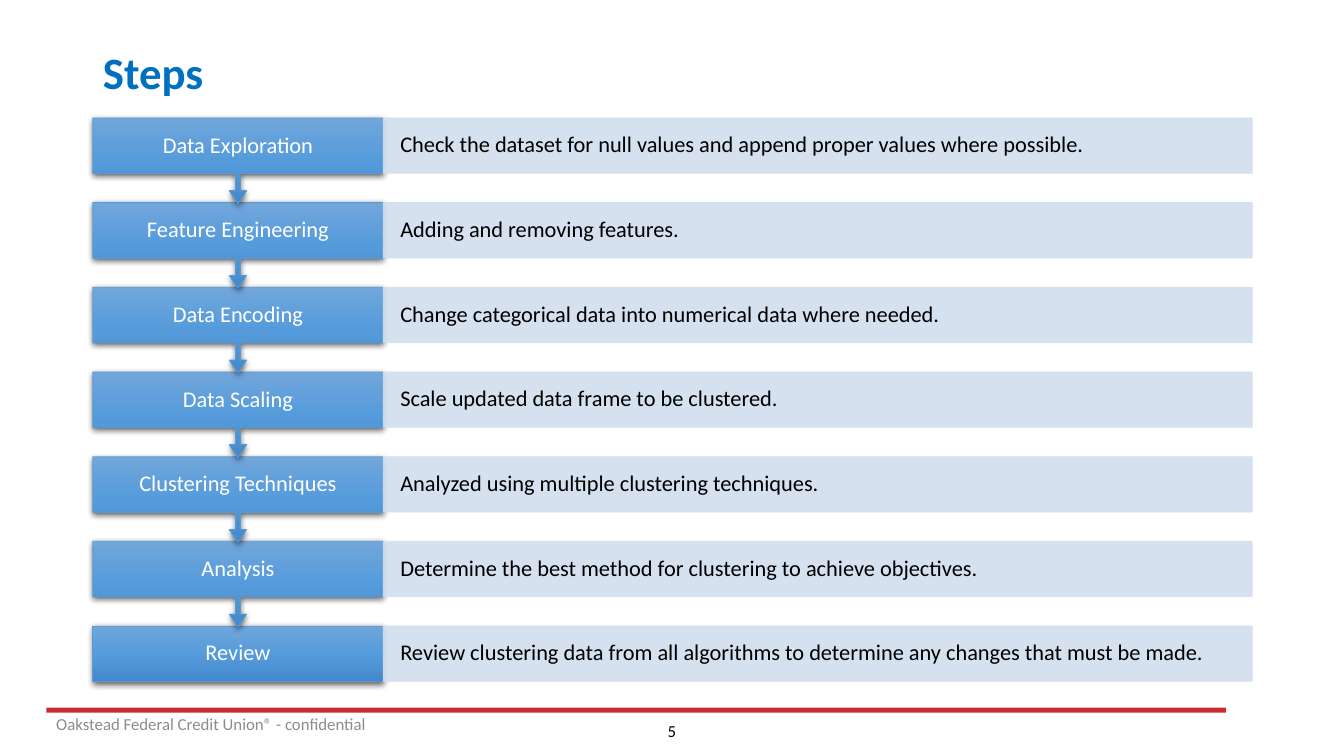
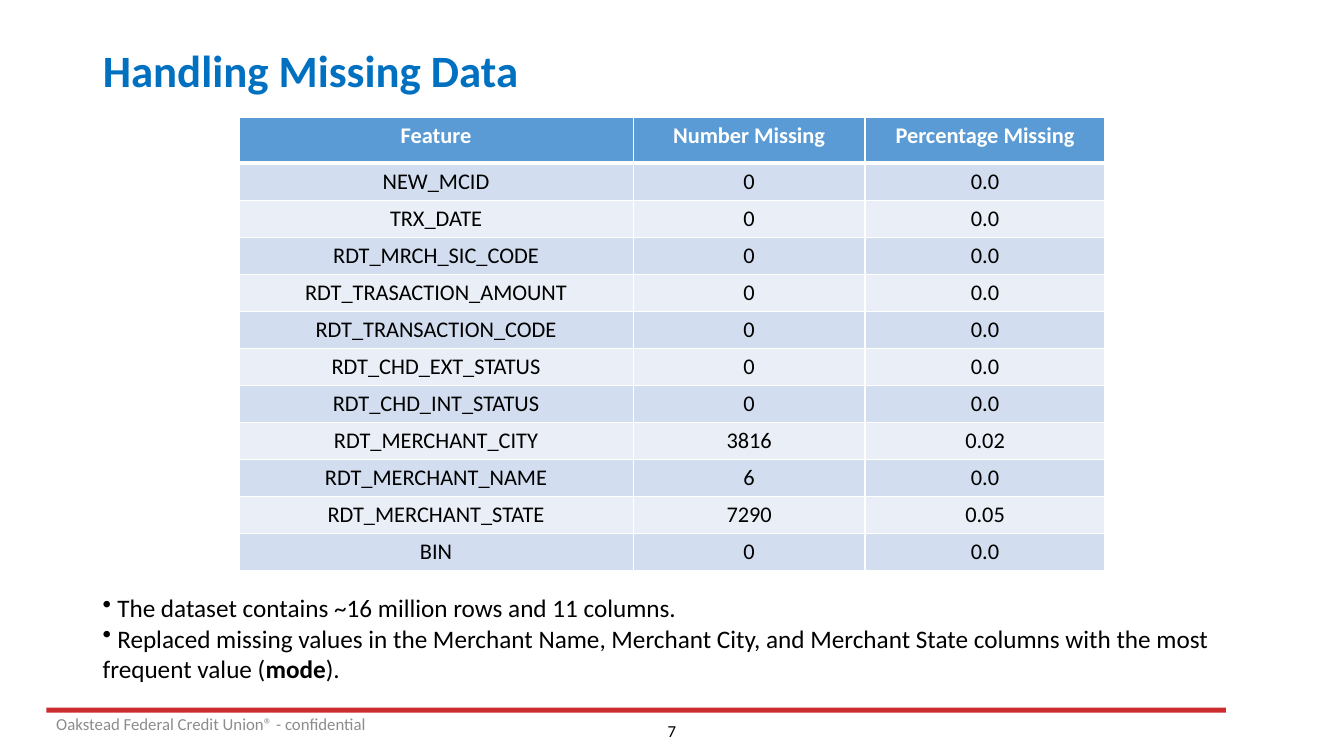
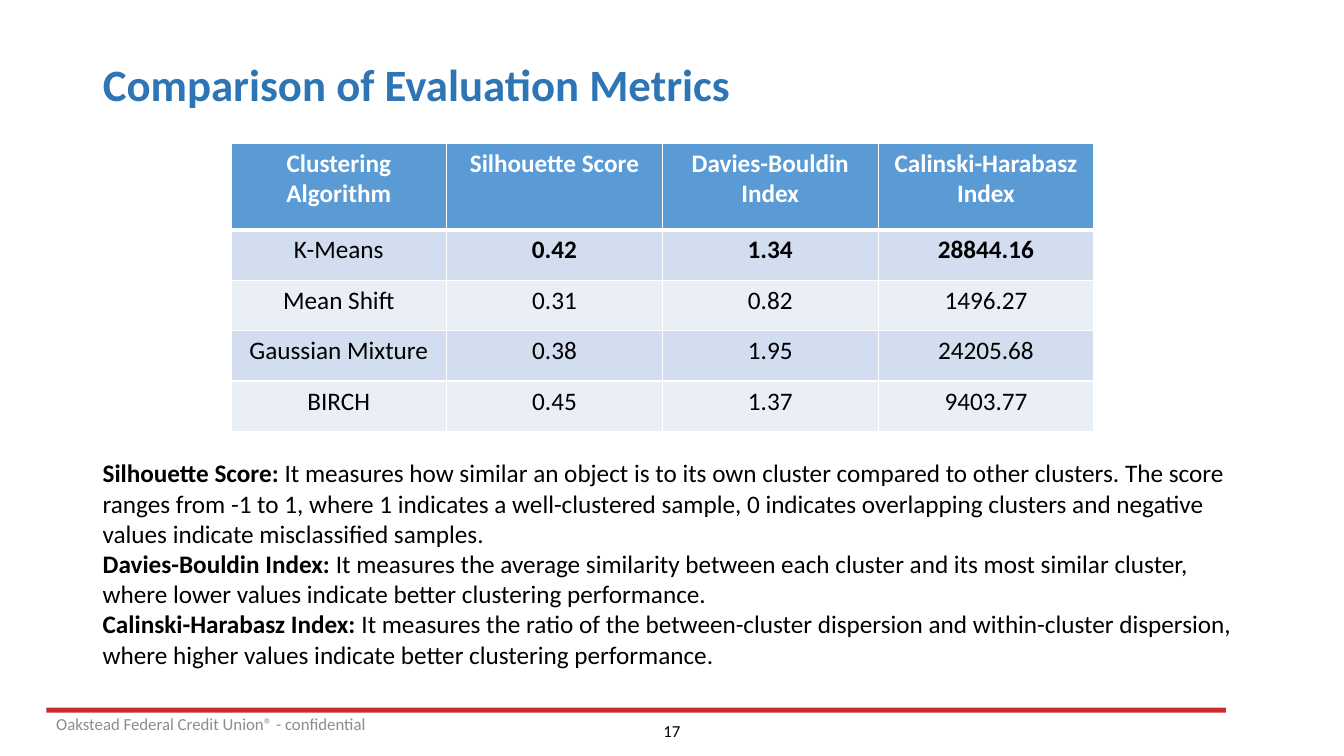
import copy
from dataclasses import dataclass

import lxml.etree
import pptx
import pptx.dml.color
import pptx.enum.shapes
import pptx.enum.text
import pptx.oxml.ns
import pptx.presentation
import pptx.shapes.autoshape
import pptx.slide
import pptx.table
import pptx.text.text
import pptx.util

Inches = pptx.util.Inches
Pt = pptx.util.Pt
qn = pptx.oxml.ns.qn
Align = pptx.enum.text.PP_ALIGN
Anchor = pptx.enum.text.MSO_ANCHOR
ShapeKind = pptx.enum.shapes.MSO_SHAPE


@dataclass(frozen=True)
class Theme:
    font: str = "Calibri"
    black: str = "000000"
    white: str = "FFFFFF"
    title: str = "0070C0"
    title_muted: str = "2E75B6"
    band: str = "CB2C30"
    footer: str = "8C8C8C"
    accent: str = "5B9BD5"
    light: str = "D2DEEF"
    lighter: str = "EAEFF7"
    gradient: tuple[str, ...] = ("71A6DB", "559BDB", "448ACA")
    title_size: float = 32
    body_size: float = 18
    small_size: float = 16
    footer_size: float = 12


@dataclass(frozen=True)
class Box:
    left: float
    top: float
    width: float
    height: float

    def lengths(self) -> tuple[pptx.util.Length, ...]:
        return tuple(Inches(value) for value in (self.left, self.top, self.width, self.height))


@dataclass(frozen=True)
class Step:
    name: str
    description: str


@dataclass(frozen=True)
class TableLayout:
    left: float
    top: float
    columns: tuple[float, ...]
    header_height: float
    row_height: float
    size: float


THEME = Theme()
FOOTER = "Oakstead Federal Credit Union® - confidential"
MARGIN = 0.92
CONTENT_WIDTH = 11.5

STEP_TOP = 1.17
STEP_PITCH = 0.84
STEP_HEIGHT = 0.55
CALLOUT_HEIGHT = 0.85
NAME_WIDTH = 2.88
STEPS = (
    Step("Data Exploration", "Check the dataset for null values and append proper values where possible."),
    Step("Feature Engineering", "Adding and removing features."),
    Step("Data Encoding", "Change categorical data into numerical data where needed."),
    Step("Data Scaling", "Scale updated data frame to be clustered."),
    Step("Clustering Techniques", "Analyzed using multiple clustering techniques."),
    Step("Analysis", "Determine the best method for clustering to achieve objectives."),
    Step("Review", "Review clustering data from all algorithms to determine any changes that must be made."),
)

MISSING_ROWS = (
    ("Feature", "Number Missing", "Percentage Missing"),
    ("NEW_MCID", "0", "0.0"),
    ("TRX_DATE", "0", "0.0"),
    ("RDT_MRCH_SIC_CODE", "0", "0.0"),
    ("RDT_TRASACTION_AMOUNT", "0", "0.0"),
    ("RDT_TRANSACTION_CODE", "0", "0.0"),
    ("RDT_CHD_EXT_STATUS", "0", "0.0"),
    ("RDT_CHD_INT_STATUS", "0", "0.0"),
    ("RDT_MERCHANT_CITY", "3816", "0.02"),
    ("RDT_MERCHANT_NAME", "6", "0.0"),
    ("RDT_MERCHANT_STATE", "7290", "0.05"),
    ("BIN", "0", "0.0"),
)
MISSING_NOTES = (
    " The dataset contains ~16 million rows and 11 columns.\n"
    " Replaced missing values in the Merchant Name, Merchant City, and Merchant State columns "
    "with the most frequent value (**mode**)."
)

METRIC_ROWS = (
    ("Clustering Algorithm", "Silhouette Score", "Davies-Bouldin Index", "Calinski-Harabasz Index"),
    ("K-Means", "**0.42**", "**1.34**", "**28844.16**"),
    ("Mean Shift", "0.31", "0.82", "1496.27"),
    ("Gaussian Mixture", "0.38", "1.95", "24205.68"),
    ("BIRCH", "0.45", "1.37", "9403.77"),
)
METRIC_NOTES = (
    "**Silhouette Score: **It measures how similar an object is to its own cluster compared to "
    "other clusters. The score ranges from -1 to 1, where 1 indicates a well-clustered sample, "
    "0 indicates overlapping clusters and negative values indicate misclassified samples.\n"
    "**Davies-Bouldin Index: **It measures the average similarity between each cluster and its "
    "most similar cluster, where lower values indicate better clustering performance.\n"
    "**Calinski-Harabasz Index: **It measures the ratio of the between-cluster dispersion and "
    "within-cluster dispersion, where higher values indicate better clustering performance."
)


def rgb(color: str) -> pptx.dml.color.RGBColor:
    return pptx.dml.color.RGBColor.from_string(color)


def write_text(
    frame: pptx.text.text.TextFrame,
    text: str,
    *,
    size: float = THEME.body_size,
    color: str = THEME.black,
    bold: bool = False,
    align: Align = Align.LEFT,
    line_spacing: float = 1.0,
    bullet: str = "",
) -> None:
    """Text between double asterisks is bold; each line is a paragraph."""
    frame.word_wrap = True
    for index, line in enumerate(text.split("\n")):
        paragraph = frame.add_paragraph() if index else frame.paragraphs[0]
        paragraph.alignment = align
        paragraph.line_spacing = line_spacing
        if bullet:
            properties = paragraph._p.get_or_add_pPr()
            properties.set("marL", "0")
            properties.set("indent", "0")
            lxml.etree.SubElement(properties, qn("a:buChar"), char=bullet)
        for part_index, part in enumerate(line.split("**")):
            if part:
                run = paragraph.add_run()
                run.text = part
                run.font.name = THEME.font
                run.font.size = Pt(size)
                run.font.bold = bold or part_index % 2 == 1
                run.font.color.rgb = rgb(color)


def add_text(slide: pptx.slide.Slide, box: Box, text: str, *, anchor: Anchor = Anchor.TOP, **text_format) -> None:
    frame = slide.shapes.add_textbox(*box.lengths()).text_frame
    frame.vertical_anchor = anchor
    write_text(frame, text, **text_format)


def add_box(slide: pptx.slide.Slide, kind: ShapeKind, box: Box, fill: str) -> pptx.shapes.autoshape.Shape:
    shape = slide.shapes.add_shape(kind, *box.lengths())
    shape.shadow.inherit = False
    shape.fill.solid()
    shape.fill.fore_color.rgb = rgb(fill)
    shape.line.fill.background()
    return shape


def outline(shape: pptx.shapes.autoshape.Shape, color: str) -> None:
    shape.line.color.rgb = rgb(color)
    shape.line.width = Pt(0.5)


def set_gradient(shape: pptx.shapes.autoshape.Shape, colors: tuple[str, ...]) -> None:
    shape.fill.gradient()
    shape.fill.gradient_angle = 270
    stop_list = shape.element.spPr.find(".//" + qn("a:gsLst"))
    while len(stop_list) < len(colors):
        stop_list.append(copy.deepcopy(stop_list[-1]))
    for index, (stop, color) in enumerate(zip(shape.fill.gradient_stops, colors)):
        stop.position = index / (len(colors) - 1)
        stop.color.rgb = rgb(color)


def set_alpha(element: lxml.etree._Element, percent: int) -> None:
    for color in element.iter(qn("a:srgbClr")):
        lxml.etree.SubElement(color, qn("a:alpha"), val=str(percent * 1000))


def add_shadow(shape: pptx.shapes.autoshape.Shape) -> None:
    effects = shape.element.spPr.find(qn("a:effectLst"))
    shadow = lxml.etree.SubElement(
        effects, qn("a:outerShdw"),
        blurRad=str(Pt(4.5)), dist=str(Pt(1.5)), dir="5400000", algn="ctr", rotWithShape="0",
    )
    lxml.etree.SubElement(shadow, qn("a:srgbClr"), val=THEME.black)
    set_alpha(shadow, 63)


def add_step(slide: pptx.slide.Slide, step: Step, top: float, is_last: bool) -> None:
    kind = ShapeKind.RECTANGLE if is_last else ShapeKind.DOWN_ARROW_CALLOUT
    height = STEP_HEIGHT if is_last else CALLOUT_HEIGHT
    name = add_box(slide, kind, Box(MARGIN, top, NAME_WIDTH, height), THEME.accent)
    if not is_last:
        for index, value in enumerate((0.05, 0.1, 0.15, 0.65)):
            name.adjustments[index] = value
    set_gradient(name, THEME.gradient)
    outline(name, THEME.accent)
    add_shadow(name)

    left = MARGIN + NAME_WIDTH
    description = add_box(
        slide, ShapeKind.RECTANGLE, Box(left, top, MARGIN + CONTENT_WIDTH - left, STEP_HEIGHT), THEME.light
    )
    outline(description, THEME.light)
    set_alpha(description.element.spPr, 90)
    description.text_frame.margin_left = description.text_frame.margin_right = Inches(0.17)

    for shape, text, color, align in (
        (name, step.name, THEME.white, Align.CENTER),
        (description, step.description, THEME.black, Align.LEFT),
    ):
        shape.text_frame.vertical_anchor = Anchor.MIDDLE
        write_text(shape.text_frame, text, size=THEME.small_size, color=color, align=align, line_spacing=0.9)


def set_borders(cell: pptx.table._Cell, top: float, bottom: float) -> None:
    properties = cell._tc.get_or_add_tcPr()
    for side, width in (("L", 1), ("R", 1), ("T", top), ("B", bottom)):
        line = lxml.etree.SubElement(properties, qn(f"a:ln{side}"), w=str(Pt(width)))
        fill = lxml.etree.SubElement(line, qn("a:solidFill"))
        lxml.etree.SubElement(fill, qn("a:srgbClr"), val=THEME.white)


def add_data_table(slide: pptx.slide.Slide, rows: tuple[tuple[str, ...], ...], layout: TableLayout) -> None:
    heights = [layout.header_height] + [layout.row_height] * (len(rows) - 1)
    box = Box(layout.left, layout.top, sum(layout.columns), sum(heights))
    table = slide.shapes.add_table(len(rows), len(layout.columns), *box.lengths()).table
    for column, width in zip(table.columns, layout.columns):
        column.width = Inches(width)
    for row_index, (texts, height) in enumerate(zip(rows, heights)):
        table.rows[row_index].height = Inches(height)
        is_header = row_index == 0
        fill = THEME.accent if is_header else THEME.light if row_index % 2 else THEME.lighter
        for column_index, text in enumerate(texts):
            cell = table.cell(row_index, column_index)
            set_borders(cell, top=3 if row_index == 1 else 1, bottom=3 if is_header else 1)
            cell.fill.solid()
            cell.fill.fore_color.rgb = rgb(fill)
            write_text(
                cell.text_frame, text, size=layout.size, bold=is_header, align=Align.CENTER,
                color=THEME.white if is_header else THEME.black,
            )


def add_slide(
    presentation: pptx.presentation.Presentation,
    title: str,
    number: int,
    title_top: float,
    title_height: float,
    title_color: str = THEME.title,
) -> pptx.slide.Slide:
    slide = presentation.slides.add_slide(presentation.slide_layouts.get_by_name("Title Only"))
    add_box(slide, ShapeKind.RECTANGLE, Box(0.46, 7.02, 11.7, 0.05), THEME.band)
    add_text(slide, Box(6.41, 7.1, 0.51, 0.3), str(number), size=THEME.footer_size, align=Align.CENTER)
    add_text(
        slide, Box(0.46, 6.98, 8.46, 0.4), FOOTER,
        size=THEME.footer_size, color=THEME.footer, anchor=Anchor.MIDDLE,
    )
    placeholder = slide.shapes.title
    box = Box(MARGIN, title_top, CONTENT_WIDTH, title_height)
    placeholder.left, placeholder.top, placeholder.width, placeholder.height = box.lengths()
    frame = placeholder.text_frame
    frame.auto_size = pptx.enum.text.MSO_AUTO_SIZE.NONE
    frame.vertical_anchor = Anchor.MIDDLE
    write_text(frame, title, size=THEME.title_size, color=title_color, bold=True, line_spacing=0.9)
    return slide


def build_steps(presentation: pptx.presentation.Presentation) -> None:
    slide = add_slide(presentation, "Steps", 5, 0.4, 0.69)
    last = len(STEPS) - 1
    for index in range(last, -1, -1):
        add_step(slide, STEPS[index], STEP_TOP + index * STEP_PITCH, index == last)


def build_missing_data(presentation: pptx.presentation.Presentation) -> None:
    slide = add_slide(presentation, "Handling Missing Data", 7, 0, 1.45)
    add_text(slide, Box(MARGIN, 5.83, CONTENT_WIDTH, 1.01), MISSING_NOTES, bullet="•")
    add_data_table(
        slide, MISSING_ROWS, TableLayout(2.37, 1.16, (3.91, 2.3, 2.38), 0.46, 0.36, THEME.small_size)
    )


def build_metrics(presentation: pptx.presentation.Presentation) -> None:
    slide = add_slide(presentation, "Comparison of Evaluation Metrics", 17, 0.12, 1.48, THEME.title_muted)
    add_data_table(slide, METRIC_ROWS, TableLayout(2.29, 1.42, (2.14,) * 4, 0.86, 0.5, THEME.body_size))
    add_text(slide, Box(MARGIN, 4.49, CONTENT_WIDTH, 2.52), METRIC_NOTES)


def main() -> None:
    presentation = pptx.Presentation()
    presentation.slide_width = Inches(13.33)
    presentation.slide_height = Inches(7.5)
    build_steps(presentation)
    build_missing_data(presentation)
    build_metrics(presentation)
    presentation.save("out.pptx")


if __name__ == "__main__":
    main()
